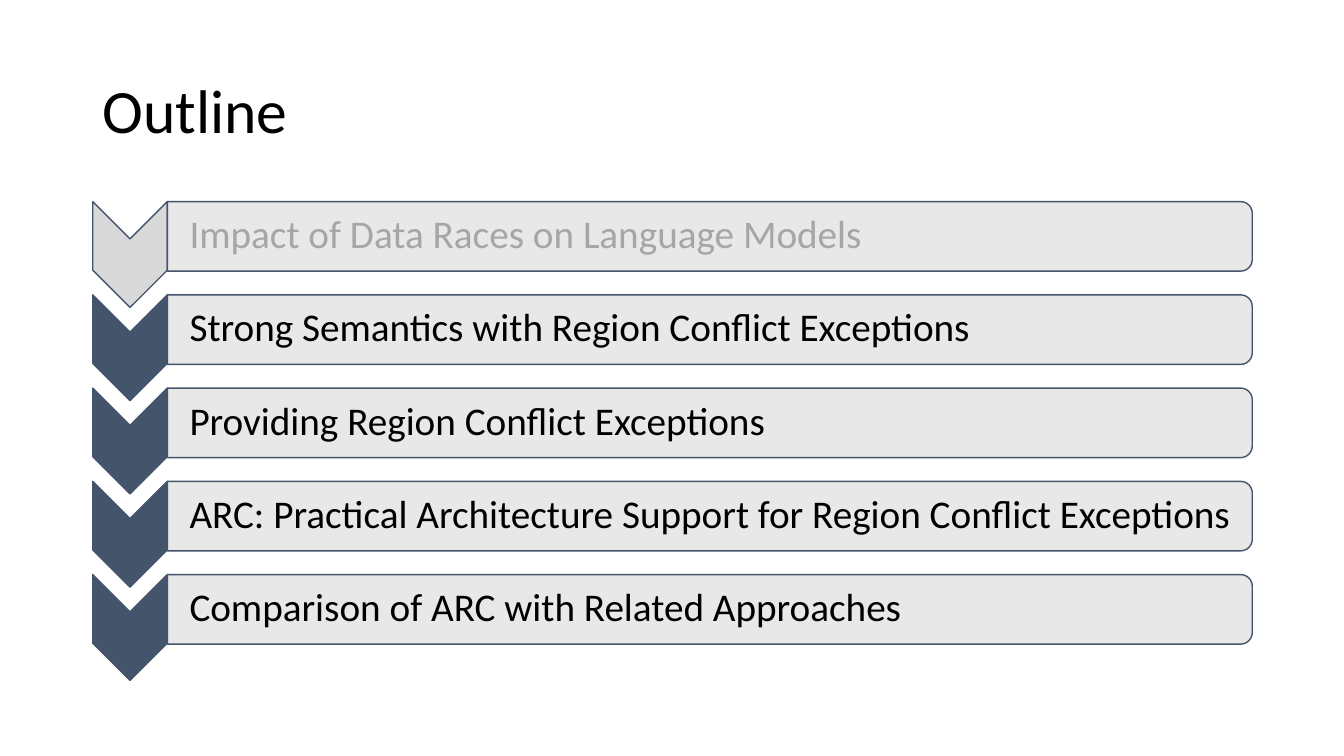
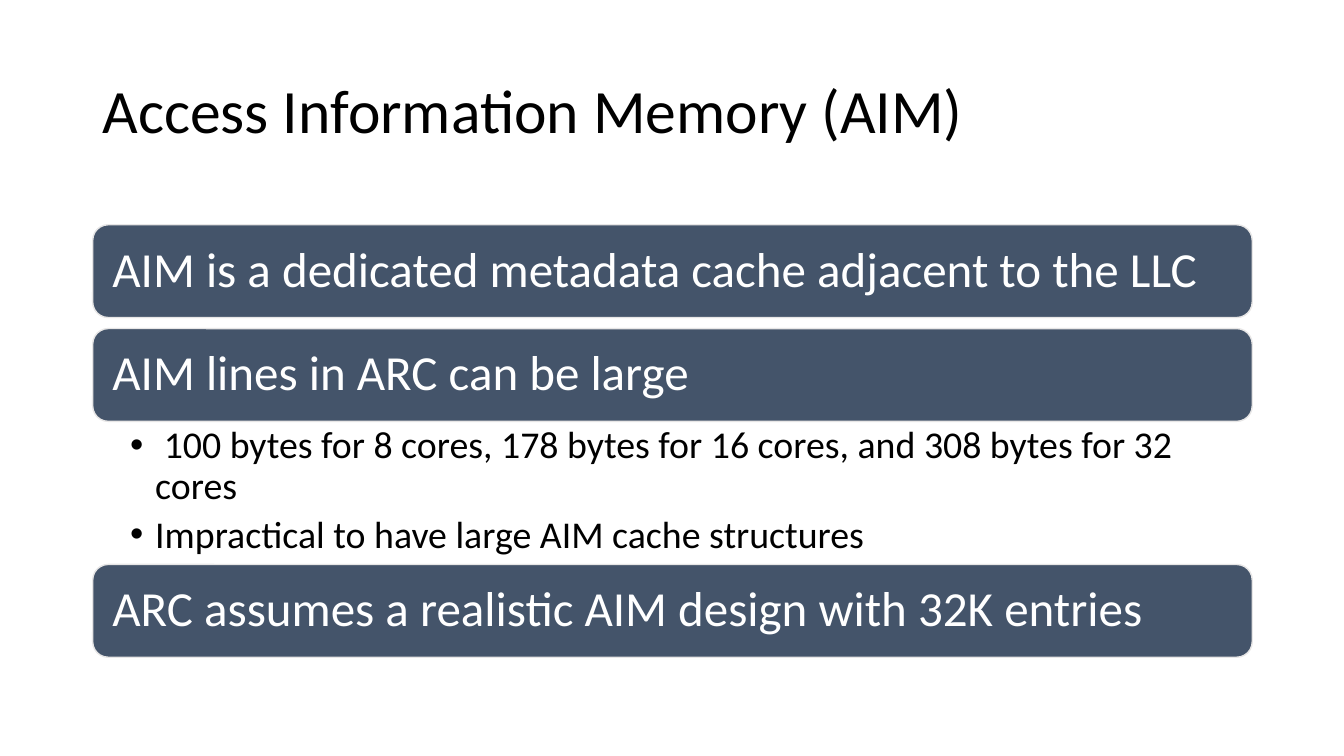
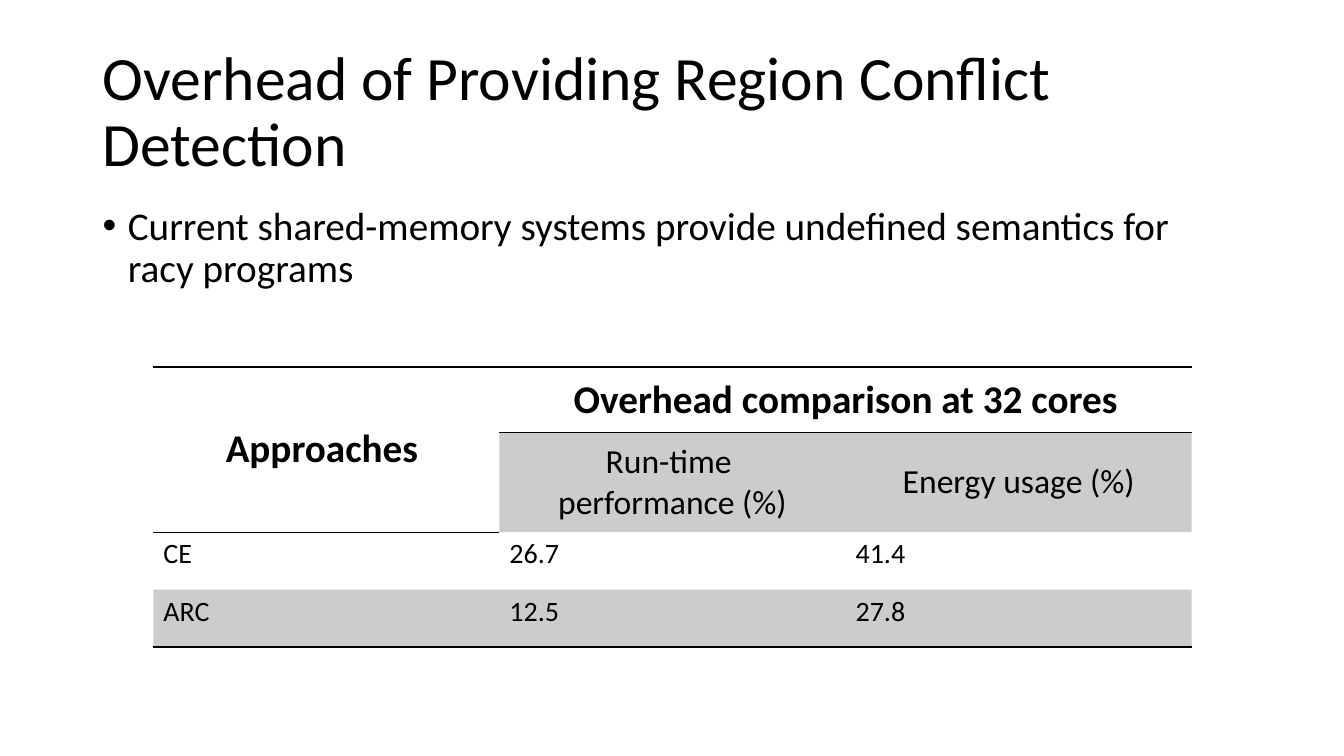
import pptx
import pptx.util
import pptx.dml.color
import pptx.enum.shapes
import pptx.enum.text
import pptx.oxml
import pptx.oxml.ns
import lxml.etree

Inches = pptx.util.Inches
Pt = pptx.util.Pt
Shapes = pptx.enum.shapes.MSO_SHAPE
Anchor = pptx.enum.text.MSO_ANCHOR
Align = pptx.enum.text.PP_ALIGN

COLORS = {
    "text": "000000",
    "white": "FFFFFF",
    "accent": "44546A",
    "light": "E7E6E6",
    "done": "D9D9D9",
    "done_text": "A6A6A6",
}
FONT = "Calibri"
LEFT, WIDTH = 0.92, 11.5
TITLE_BOX = (LEFT, 0.4, WIDTH, 1.45)
NO_GRID_STYLE = "{2D5ABB26-0587-4C30-8999-92F81FD0307C}"


def rgb(name):
    """Return the named colour."""
    return pptx.dml.color.RGBColor.from_string(COLORS[name])


def add_child(parent, tag, **attributes):
    """Append a drawing element and return it."""
    child = lxml.etree.SubElement(parent, pptx.oxml.ns.qn(tag))
    for key, value in attributes.items():
        child.set(key, str(value))
    return child


def set_fill(fill, properties, color, opacity=100):
    """Apply a solid fill, see-through if opacity is below 100."""
    fill.solid()
    fill.fore_color.rgb = rgb(color)
    if opacity < 100:
        solid = properties.find(pptx.oxml.ns.qn("a:solidFill"))
        add_child(solid[0], "a:alpha", val=opacity * 1000)


def add_run(paragraph, text, size, color="text", bold=False):
    """Add one styled run."""
    run = paragraph.add_run()
    run.text = text
    run.font.name = FONT
    run.font.size = Pt(size)
    run.font.bold = bold
    run.font.color.rgb = rgb(color)


def set_bullet(paragraph, indent=0.25):
    """Give a paragraph a hanging bullet."""
    properties = paragraph._p.get_or_add_pPr()
    properties.set("marL", str(Inches(indent)))
    properties.set("indent", str(-Inches(indent)))
    add_child(properties, "a:buFont", typeface="Arial")
    add_child(properties, "a:buChar", char="•")


def fill_frame(frame, lines, size, color="text", anchor=Anchor.MIDDLE,
               margins=(0.1, 0.05, 0.1, 0.05), bullet=False, space_after=0):
    """Write lines as left-aligned paragraphs in a text frame."""
    frame.word_wrap = True
    frame.vertical_anchor = anchor
    (frame.margin_left, frame.margin_top,
     frame.margin_right, frame.margin_bottom) = map(Inches, margins)
    for index, line in enumerate(lines):
        paragraph = frame.add_paragraph() if index else frame.paragraphs[0]
        paragraph.alignment = Align.LEFT
        paragraph.line_spacing = 0.9
        paragraph.space_after = Pt(space_after)
        if bullet:
            set_bullet(paragraph)
        add_run(paragraph, line, size, color)


def add_text(slide, box, lines, size, **style):
    """Add a text box."""
    shape = slide.shapes.add_textbox(*map(Inches, box))
    fill_frame(shape.text_frame, lines, size, **style)


def add_box(slide, kind, box, fill, line, opacity=100, turned=False):
    """Add a shape that covers box, turned a quarter clockwise if asked."""
    left, top, width, height = box
    if turned:
        left, top = left + (width - height) / 2, top + (height - width) / 2
        width, height = height, width
    shape = slide.shapes.add_shape(kind, *map(Inches, (left, top, width, height)))
    shape.rotation = 90 if turned else 0
    shape.shadow.inherit = False
    set_fill(shape.fill, shape._element.spPr, fill, opacity)
    shape.line.color.rgb = rgb(line)
    shape.line.width = Pt(1)
    return shape


def add_titled_slide(presentation, title):
    """Add a blank slide with the shared title."""
    slide = presentation.slides.add_slide(presentation.slide_layouts[6])
    add_text(slide, TITLE_BOX, [title], 44)
    return slide


def add_outline_step(slide, left, top, width, text, done):
    """Add one chevron with its labelled bar."""
    chevron_width, bar_height = 0.74, 0.69
    bar_left, bar_width = left + chevron_width, width - chevron_width
    add_box(slide, Shapes.CHEVRON, (left, top, chevron_width, 1.05),
            "done" if done else "accent", "accent", turned=True)
    add_box(slide, Shapes.ROUND_2_SAME_RECTANGLE,
            (bar_left, top, bar_width, bar_height),
            "light", "accent", opacity=90, turned=True)
    add_text(slide, (bar_left, top + 0.03, bar_width - 0.03, bar_height - 0.07),
             [text], 28, color="done_text" if done else "text",
             margins=(0.22, 0.02, 0.02, 0.02))


def build_outline(presentation):
    """Build the outline slide."""
    slide = add_titled_slide(presentation, "Outline")
    steps = [
        "Impact of Data Races on Language Models",
        "Strong Semantics with Region Conflict Exceptions",
        "Providing Region Conflict Exceptions",
        "ARC: Practical Architecture Support for Region Conflict Exceptions",
        "Comparison of ARC with Related Approaches",
    ]
    pitch = 3.7 / (len(steps) - 1)
    for index, text in enumerate(steps):
        add_outline_step(slide, LEFT, 2 + index * pitch, WIDTH, text, index == 0)


def build_memory(presentation):
    """Build the slide on access information memory."""
    slide = add_titled_slide(presentation, "Access Information Memory (AIM)")
    banners = [
        (2.23, "AIM is a dedicated metadata cache adjacent to the LLC"),
        (3.26, "AIM lines in ARC can be large"),
        (5.6, "ARC assumes a realistic AIM design with 32K entries"),
    ]
    for top, text in banners:
        shape = add_box(slide, Shapes.ROUNDED_RECTANGLE,
                        (LEFT, top, WIDTH, 0.92), "accent", "light")
        fill_frame(shape.text_frame, [text], 35, color="white", margins=(0.15,) * 4)
    details = [
        " 100 bytes for 8 cores, 178 bytes for 16 cores, and 308 bytes for 32 cores",
        "Impractical to have large AIM cache structures",
    ]
    add_text(slide, (LEFT, 4.18, WIDTH, 1.43), details, 27, anchor=Anchor.TOP,
             margins=(0.37, 0.05, 0.27, 0.05), bullet=True, space_after=5.4)


def style_cell(cell, edges="", shaded=False):
    """Set the ruled edges and the shading of a cell."""
    properties = cell._tc.get_or_add_tcPr()
    for edge in edges:
        line = add_child(properties, "a:ln" + edge, w=Pt(1))
        add_child(add_child(line, "a:solidFill"), "a:srgbClr", val=COLORS["text"])
    if shaded:
        set_fill(cell.fill, properties, "text", 20)
    else:
        cell.fill.background()


def write_cell(cell, text, size, bold=False, centered=False):
    """Write cell text, one paragraph per line."""
    cell.vertical_anchor = Anchor.MIDDLE if centered else Anchor.TOP
    frame = cell.text_frame
    for index, line in enumerate(text.split("\n")):
        paragraph = frame.add_paragraph() if index else frame.paragraphs[0]
        paragraph.alignment = Align.CENTER if centered else Align.LEFT
        add_run(paragraph, line, size, bold=bold)


def add_overhead_table(slide, left, top, width):
    """Add the table of overheads by approach."""
    heights = [0.65, 0.99, 0.57, 0.57]
    table = slide.shapes.add_table(4, 3, *map(Inches, (left, top, width, sum(heights)))).table
    table._tbl.tblPr.find(pptx.oxml.ns.qn("a:tableStyleId")).text = NO_GRID_STYLE
    for column in table.columns:
        column.width = Inches(width / 3)
    for row, height in zip(table.rows, heights):
        row.height = Inches(height)
    edges = [["TB", "TB", "TB"], ["B", "", ""], ["", "", ""], ["B", "B", "B"]]
    for row, row_edges in enumerate(edges):
        for column, cell_edges in enumerate(row_edges):
            shaded = row == 3 or (row == 1 and column > 0)
            style_cell(table.cell(row, column), cell_edges, shaded)
    table.cell(0, 0).merge(table.cell(1, 0))
    table.cell(0, 1).merge(table.cell(0, 2))
    write_cell(table.cell(0, 0), "Approaches ", 28, True, True)
    write_cell(table.cell(0, 1), "Overhead comparison at 32 cores", 28, True, True)
    write_cell(table.cell(1, 1), "Run-time \nperformance (%)", 24, centered=True)
    write_cell(table.cell(1, 2), "Energy usage (%)", 24, centered=True)
    values = [("CE", "26.7", "41.4"), ("ARC", "12.5", "27.8")]
    for row, texts in enumerate(values, 2):
        for column, text in enumerate(texts):
            write_cell(table.cell(row, column), text, 20)


def build_overhead(presentation):
    """Build the slide that compares overheads."""
    slide = add_titled_slide(
        presentation, "Overhead of Providing Region Conflict Detection")
    add_text(slide, (LEFT, 2, WIDTH, 4.76),
             ["Current shared-memory systems provide undefined semantics for racy programs"],
             28, anchor=Anchor.TOP, bullet=True)
    add_overhead_table(slide, 1.52, 3.64, 10.3)


def main():
    """Build and save the presentation."""
    presentation = pptx.Presentation()
    presentation.slide_width = Inches(13.33)
    presentation.slide_height = Inches(7.5)
    build_outline(presentation)
    build_memory(presentation)
    build_overhead(presentation)
    presentation.save("out.pptx")


if __name__ == "__main__":
    main()
